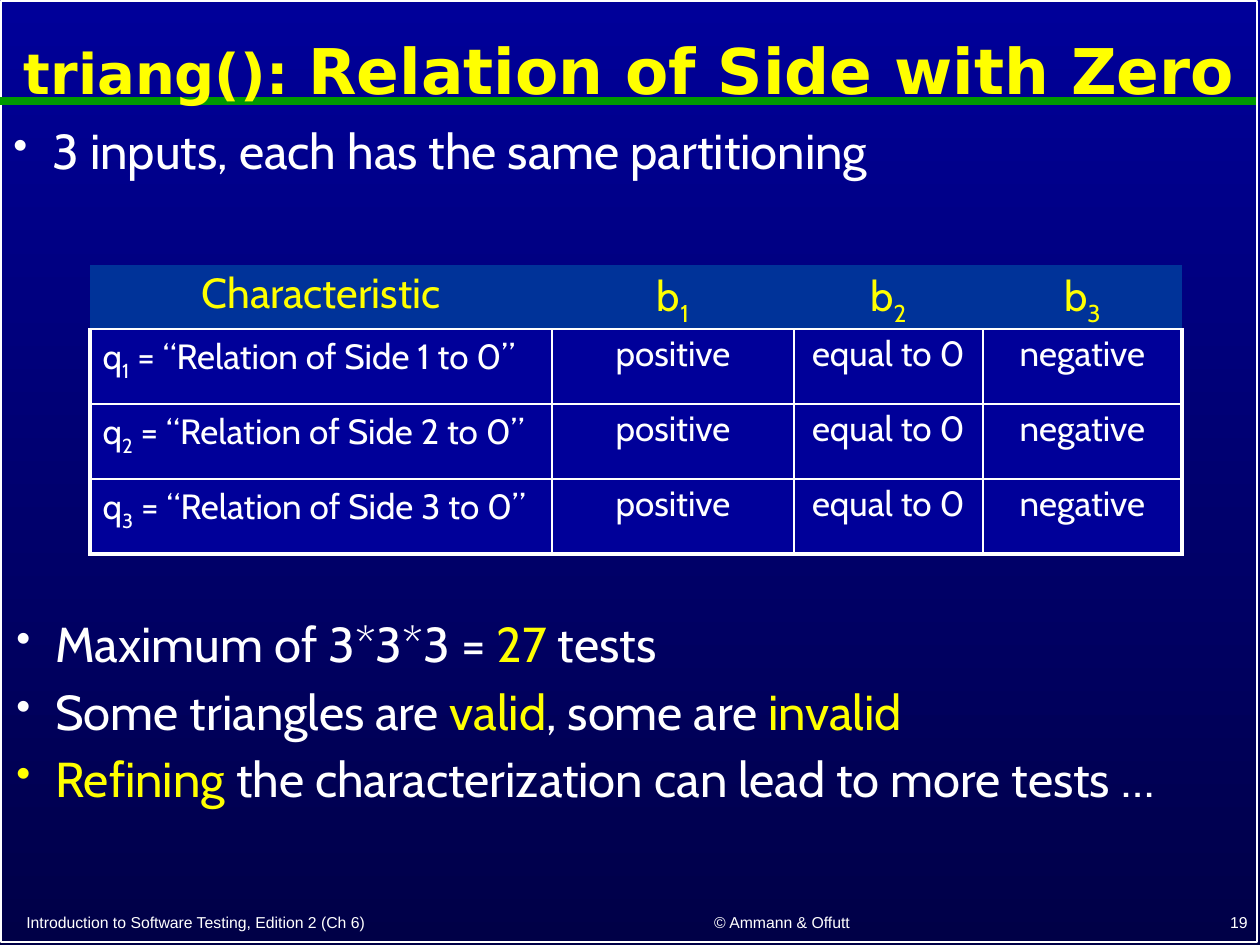
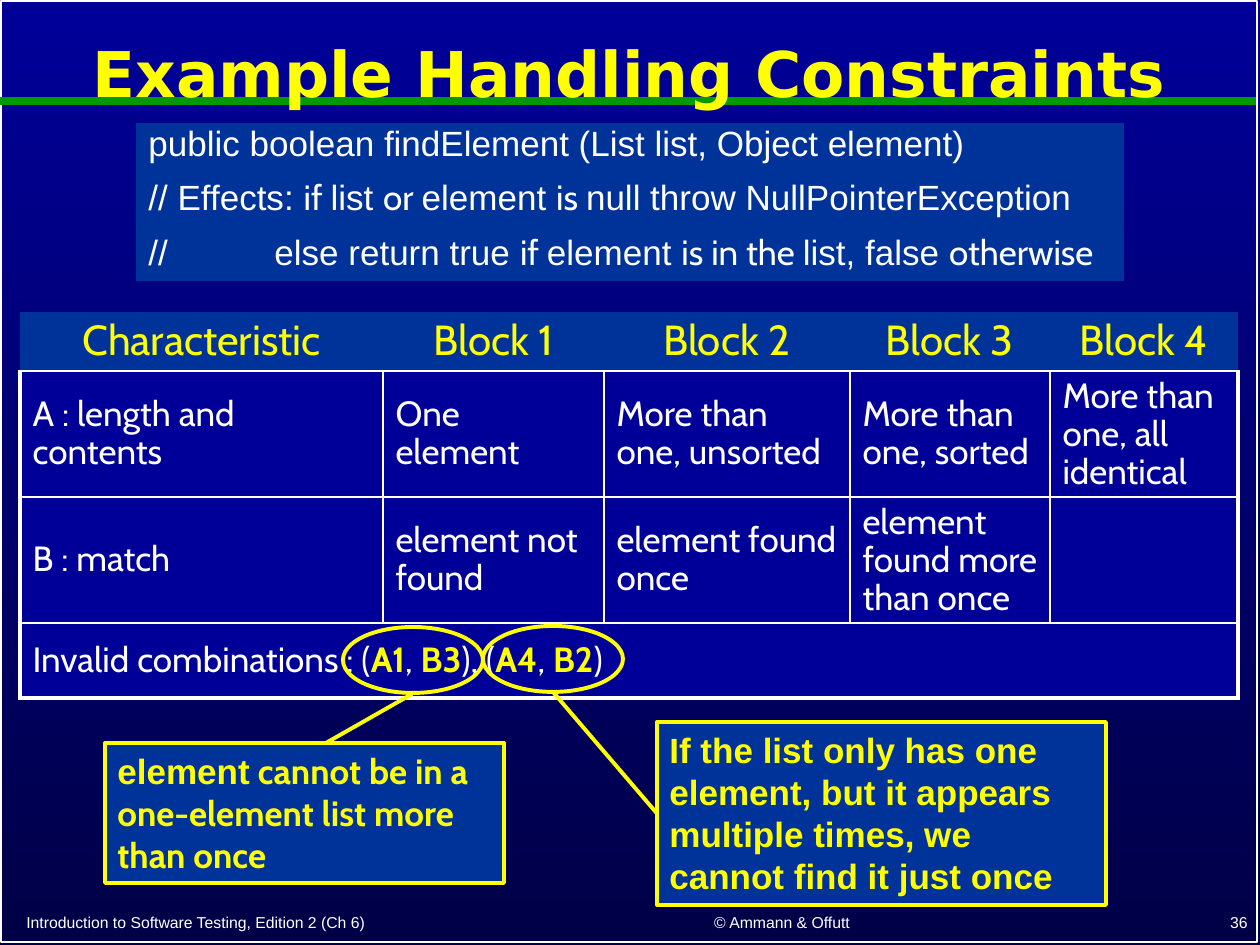
import dataclasses

import pptx
import pptx.dml.color
import pptx.enum.dml
import pptx.enum.shapes
import pptx.enum.text
import pptx.oxml.ns
import pptx.util
from lxml import etree

PX = 7257.14  # EMU in one px, 126 px to the inch
ALIGN = pptx.enum.text.PP_ALIGN
ANCHOR = pptx.enum.text.MSO_ANCHOR
SHAPE = pptx.enum.shapes.MSO_SHAPE
LINE = pptx.enum.shapes.MSO_CONNECTOR.STRAIGHT
RGB = pptx.dml.color.RGBColor.from_string
Pt = pptx.util.Pt
qn = pptx.oxml.ns.qn


@dataclasses.dataclass(frozen=True)
class Theme:
    blue: str = "000099"
    dark: str = "000047"
    panel: str = "003399"
    green: str = "009900"
    yellow: str = "FFFF00"
    white: str = "FFFFFF"
    body: str = "Cabin"
    sans: str = "Arial"
    heading: str = "DejaVu Sans"
    title_pt: int = 36
    bullet_pt: int = 28
    head_pt: int = 24
    text_pt: int = 20
    small_pt: int = 9
    thin: float = 1
    thick: float = 2.25


T = Theme()


def write(p, text, alt=None, size=T.text_pt, color=T.white, font=T.body, bold=False,
          align=ALIGN.LEFT, line=0.9, before=0, bullet=False):
    """Fill a paragraph; every second part between bars takes the alt look."""
    p.alignment, p.line_spacing, p.space_before = align, line, Pt(before)
    base = dict(size=size, color=color, font=font, bold=bold, sub=False)
    for i, part in enumerate(text.split("|")):
        if not part:
            continue
        look = {**base, **(alt if i % 2 else {})}
        r = p.add_run()
        r.text = part
        r.font.size, r.font.name, r.font.bold = Pt(look["size"]), look["font"], look["bold"]
        r.font.color.rgb = RGB(look["color"])
        if look["sub"]:
            r._r.get_or_add_rPr().set("baseline", "-25000")
    if bullet:
        pPr = p._p.get_or_add_pPr()
        pPr.set("marL", str(round(39 * PX)))
        pPr.set("indent", str(round(-39 * PX)))
        etree.SubElement(pPr, qn("a:buSzPct")).set("val", "85000")
        etree.SubElement(pPr, qn("a:buChar")).set("char", "•")


def box(s, at, lines=(), shape=None, fill=None, line=None, width=T.thick,
        anchor=ANCHOR.TOP, **look):
    """Add a text box, or a preset shape, with one paragraph a line."""
    at = [round(v * PX) for v in at]
    if shape is None:
        sp = s.shapes.add_textbox(*at)
    else:
        sp = s.shapes.add_shape(shape, *at)
        sp.shadow.inherit = False
        if fill:
            sp.fill.solid()
            sp.fill.fore_color.rgb = RGB(fill)
        else:
            sp.fill.background()
        if line:
            sp.line.color.rgb = RGB(line)
            sp.line.width = Pt(width)
        else:
            sp.line.fill.background()
    tf = sp.text_frame
    tf.word_wrap = True
    tf.vertical_anchor = anchor
    for i, text in enumerate(lines):
        write(tf.add_paragraph() if i else tf.paragraphs[0], text, **look)
    return sp


prs = pptx.Presentation()
prs.slide_width, prs.slide_height = pptx.util.Inches(10), pptx.util.Inches(7.5)
connectors = []

# Background, frame, title, rule and footer of both slides
titles = [("triang(): |Relation of Side with Zero", 32, 120, "19"),
          ("Example Handling Constraints", T.title_pt, 126, "36")]
for title, size, height, number in titles:
    s = prs.slides.add_slide(prs.slide_layouts[6])
    bg = s.background.fill
    bg.gradient()
    bg.gradient_angle = 270
    for stop, color in zip(bg.gradient_stops, (T.blue, T.dark)):
        stop.color.rgb = RGB(color)
    box(s, (1, 1, 1256, 941), shape=SHAPE.RECTANGLE, line=T.white, width=T.thin)
    rule = s.shapes.add_connector(LINE, 0, round(101 * PX), round(1256 * PX), round(101 * PX))
    rule.line.color.rgb = RGB(T.green)
    rule.line.width = Pt(4.5)
    connectors.append(rule)
    box(s, (1, 14, 1256, height), [title], anchor=ANCHOR.MIDDLE, alt=dict(size=T.title_pt),
        size=size, color=T.yellow, font=T.heading, bold=True, align=ALIGN.CENTER)
    footers = [(14, 543, "Introduction to Software Testing, Edition 2 (Ch 6)", ALIGN.LEFT),
               (582, 400, "© Ammann & Offutt", ALIGN.CENTER),
               (998, 262, number, ALIGN.RIGHT)]
    for x, w, text, align in footers:
        box(s, (x, 904, w, 34), [text], anchor=ANCHOR.BOTTOM, size=T.small_pt,
            font=T.sans, align=align, line=1.0)

sides, constraints = prs.slides

# Bullets around the partition table
bullets = dict(size=T.bullet_pt, before=8.4, bullet=True, alt=dict(color=T.yellow))
box(sides, (1, 121, 1256, 98), ["3 inputs, each has the same partitioning"], **bullets)
box(sides, (4, 614, 1256, 254),
    ["Maximum of 3*3*3 = |27| tests",
     "Some triangles are |valid|, some are |invalid",
     "|Refining| the characterization can lead to more tests …"], **bullets)

# Method under test
code = box(constraints, (136, 123, 988, 158),
           ["public boolean findElement (List list, Object element)",
            "// Effects: |if |list |or |element |is |null throw NullPointerException",
            "//\telse return true |if |element |is in the |list, false |otherwise"],
           shape=SHAPE.RECTANGLE, fill=T.panel, font=T.sans, line=None,
           alt=dict(font=T.body), before=12)
for p in code.text_frame.paragraphs:
    p.line_spacing = 0.8
    tabs = etree.SubElement(p._p.get_or_add_pPr(), qn("a:tabLst"))
    etree.SubElement(tabs, qn("a:tab"), pos=str(round(126 * PX)), algn="l")

# Tables: place, column widths, row heights, anchor, value alignment, alt look, cells
side_rows = [[f"q|{n}| = “Relation of Side {n} to 0”", "positive", "equal to 0", "negative"]
             for n in (1, 2, 3)]
block_rows = [
    ["A : length and contents", "One element", "More than one, unsorted",
     "More than one, sorted", "More than one, all identical"],
    ["B : match", "element not found", "element found once",
     "element found more than once", ""],
    ["Invalid combinations : (|A1|, |B3|), (|A4|, |B2|)", "", "", "", ""]]
tables = [
    (sides, 90, 265, [462, 242, 189, 199], [63, 75, 75, 75], ANCHOR.TOP, ALIGN.CENTER,
     dict(sub=True), [["Characteristic", "b|1", "b|2", "b|3"]] + side_rows),
    (constraints, 20, 312, [363, 221, 246, 200, 188], [59, 126, 126, 75], ANCHOR.MIDDLE,
     ALIGN.LEFT, dict(color=T.yellow, bold=True),
     [["Characteristic"] + [f"Block {n}" for n in (1, 2, 3, 4)]] + block_rows)]
for s, x, y, widths, heights, anchor, align, alt, rows in tables:
    frame = s.shapes.add_table(len(rows), len(widths), *[
        round(v * PX) for v in (x, y, sum(widths), sum(heights))])
    tbl = frame.table
    tbl.first_row = tbl.horz_banding = False
    for col, w in zip(tbl.columns, widths):
        col.width = round(w * PX)
    for row, h in zip(tbl.rows, heights):
        row.height = round(h * PX)
    if s is constraints:
        tbl.cell(3, 0).merge(tbl.cell(3, 4))
    for i, row in enumerate(rows):
        for j, text in enumerate(row):
            cell = tbl.cell(i, j)
            head = i == 0
            last = j == len(row) - 1 or cell.is_merge_origin
            edges = dict(lnL=T.thick if j == 0 else T.thin,
                         lnR=T.thick if last else T.thin,
                         lnT=T.thin,
                         lnB=T.thick if i == len(rows) - 1 else T.thin)
            for edge, width in edges.items():
                ln = etree.SubElement(cell._tc.get_or_add_tcPr(), qn("a:" + edge),
                                      w=str(Pt(width)))
                if head and edge != "lnB":
                    etree.SubElement(ln, qn("a:noFill"))
                else:
                    fill = etree.SubElement(ln, qn("a:solidFill"))
                    etree.SubElement(fill, qn("a:srgbClr"), val=T.white)
            cell.fill.solid()
            cell.fill.fore_color.rgb = RGB(T.panel if head else T.blue)
            cell.vertical_anchor = anchor
            size = T.head_pt if head else T.text_pt
            write(cell.text_frame.paragraphs[0], text, alt, size=size,
                  color=T.yellow if head else T.white, before=0.3 * size,
                  align=ALIGN.CENTER if head else align if j else ALIGN.LEFT)

# Callouts: ellipse place, line from and to, note place, text, font
callouts = [
    ((343, 627, 140, 66), (412, 694, 326, 743), (105, 743, 399, 140),
     "element| cannot be in a one-element list more than once"),
    ((483, 626, 140, 66), (553, 692, 657, 813), (657, 722, 449, 183),
     "If the list only has one element, but it appears multiple times, "
     "we cannot find it just once")]
for ring, ends, place, text in callouts:
    box(constraints, ring, shape=SHAPE.OVAL, line=T.yellow)
    cx = constraints.shapes.add_connector(LINE, *[round(v * PX) for v in ends])
    cx.line.color.rgb = RGB(T.yellow)
    cx.line.width = Pt(T.thick)
    connectors.append(cx)
    note = box(constraints, place, [text], shape=SHAPE.RECTANGLE, fill=T.panel,
               line=T.yellow, color=T.yellow, font=T.sans, bold=True, before=10,
               alt=dict(font=T.body))
    note.text_frame.paragraphs[0].line_spacing = 1.0
    if ends[2] == place[0]:
        cx.end_connect(note, 1)

# Connectors cast no shadow
for cx in connectors:
    etree.SubElement(cx._element.spPr, qn("a:effectLst"))

# Footer lines are single spaced
for s in prs.slides:
    for sp in s.shapes:
        if sp.has_text_frame and sp.top > 900 * PX:
            sp.text_frame.paragraphs[0].line_spacing = 1.0

prs.save("out.pptx")
